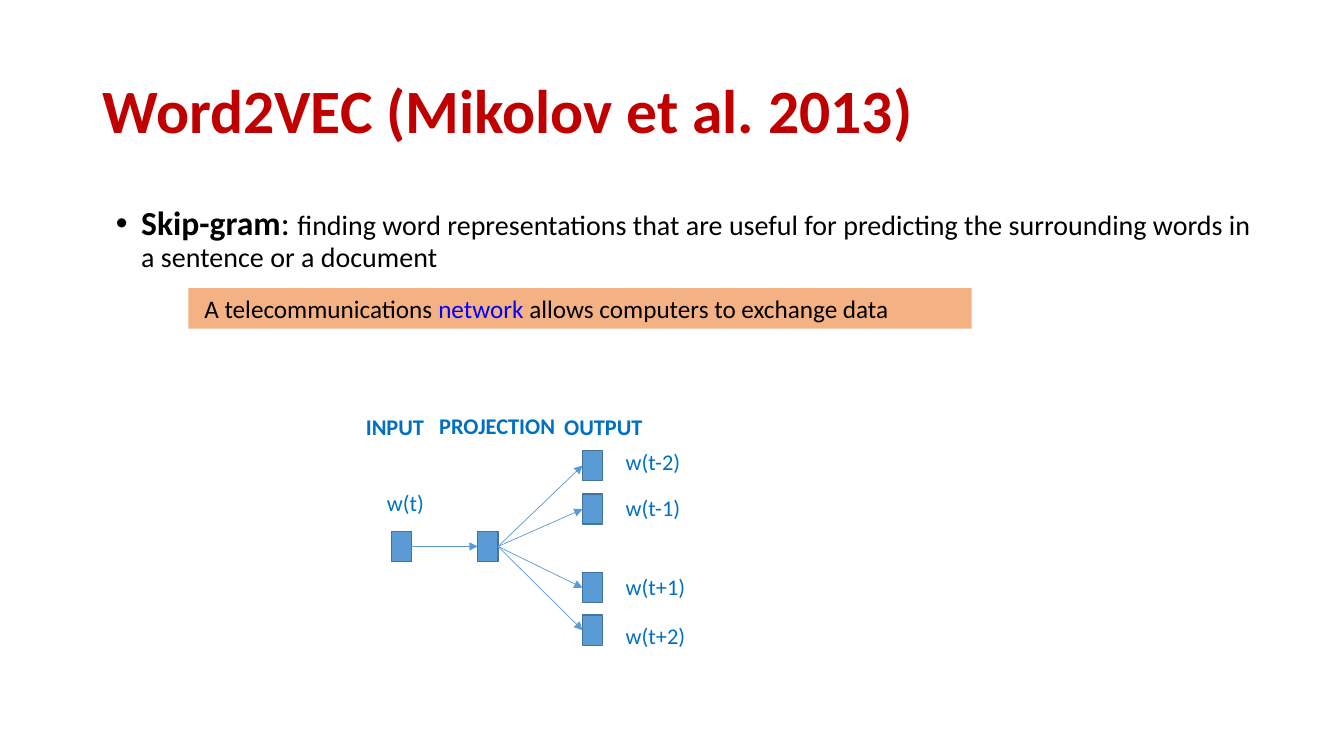
from dataclasses import dataclass

import pptx
import pptx.dml.color
import pptx.enum.shapes
import pptx.enum.text
import pptx.oxml
import pptx.oxml.ns
import pptx.shapes.autoshape
import pptx.shapes.connector
import pptx.util
from pptx.util import Cm

FONT = "Calibri"
BLACK, CRIMSON, LABEL_BLUE, LINK_BLUE = "000000", "C00000", "0070C0", "0000FF"
NODE_FILL, NODE_LINE, BANNER_FILL = "5B9BD5", "43739E", "F4B183"
NODE_WIDTH, NODE_HEIGHT = 0.51, 0.76
LABEL_HEIGHT = 0.94
HIDDEN_Y = 13.77  # centre of the input and projection nodes
OUTPUT_X, OUTPUT_LABEL_X = 14.68, 15.52


@dataclass
class Run:
    text: str
    size: float
    color: str = BLACK
    bold: bool = False


@dataclass
class Label:
    text: str
    left: float
    top: float
    width: float
    bold: bool = False


@dataclass
class Output:
    word: str
    center: float
    label_top: float
    label_width: float


HEADINGS = [
    Label("INPUT", 8.97, 10.29, 2.01, True),
    Label("PROJECTION", 10.82, 10.26, 3.45, True),
    Label("OUTPUT", 13.97, 10.29, 2.51, True),
]
OUTPUTS = [
    Output("w(t-2)", 11.73, 11.18, 1.93),
    Output("w(t-1)", 12.83, 12.32, 1.93),
    Output("w(t+1)", 14.81, 14.33, 2.03),
    Output("w(t+2)", 15.88, 15.54, 2.03),
]


def rgb(value: str) -> pptx.dml.color.RGBColor:
    return pptx.dml.color.RGBColor.from_string(value)


def write(paragraph, runs: list[Run]) -> None:
    for item in runs:
        run = paragraph.add_run()
        run.text = item.text
        run.font.name = FONT
        run.font.size = pptx.util.Pt(item.size)
        run.font.bold = item.bold
        run.font.color.rgb = rgb(item.color)


def add_text(shapes, left: float, top: float, width: float, height: float,
             runs: list[Run], wrap: bool = True) -> pptx.shapes.autoshape.Shape:
    box = shapes.add_textbox(Cm(left), Cm(top), Cm(width), Cm(height))
    box.text_frame.word_wrap = wrap
    write(box.text_frame.paragraphs[0], runs)
    return box


def add_label(shapes, label: Label) -> None:
    add_text(shapes, label.left, label.top, label.width, LABEL_HEIGHT,
             [Run(label.text, 16, LABEL_BLUE, label.bold)], wrap=False)


def add_rectangle(shapes, left: float, top: float, width: float, height: float,
                  fill: str) -> pptx.shapes.autoshape.Shape:
    box = shapes.add_shape(pptx.enum.shapes.MSO_SHAPE.RECTANGLE,
                           Cm(left), Cm(top), Cm(width), Cm(height))
    box.shadow.inherit = False
    box.fill.solid()
    box.fill.fore_color.rgb = rgb(fill)
    return box


def add_node(shapes, left: float, center: float) -> pptx.shapes.autoshape.Shape:
    node = add_rectangle(shapes, left, center - NODE_HEIGHT / 2,
                         NODE_WIDTH, NODE_HEIGHT, NODE_FILL)
    node.line.color.rgb = rgb(NODE_LINE)
    node.line.width = pptx.util.Pt(1)
    return node


def add_arrow(shapes, source: pptx.shapes.autoshape.Shape,
              target: pptx.shapes.autoshape.Shape) -> None:
    arrow: pptx.shapes.connector.Connector = shapes.add_connector(
        pptx.enum.shapes.MSO_CONNECTOR.STRAIGHT,
        source.left + source.width, source.top + source.height // 2,
        target.left, target.top + target.height // 2)
    arrow.begin_connect(source, 3)
    arrow.end_connect(target, 1)
    arrow.line.color.rgb = rgb(NODE_FILL)
    arrow.line.width = pptx.util.Pt(0.5)
    head = pptx.oxml.parse_xml(
        f'<a:tailEnd {pptx.oxml.ns.nsdecls("a")} type="triangle"/>')
    arrow.line._get_or_add_ln().append(head)
    arrow._element.spPr.append(
        pptx.oxml.parse_xml(f'<a:effectLst {pptx.oxml.ns.nsdecls("a")}/>'))


def add_diagram(slide) -> None:
    shapes = slide.shapes.add_group_shape().shapes

    # Nodes and arrows
    output_nodes = [add_node(shapes, OUTPUT_X, item.center) for item in OUTPUTS]
    input_node = add_node(shapes, 9.86, HIDDEN_Y)
    projection_node = add_node(shapes, 12.04, HIDDEN_Y)
    add_arrow(shapes, input_node, projection_node)
    for output_node in output_nodes:
        add_arrow(shapes, projection_node, output_node)

    # Headings and word labels
    words = [Label("w(t)", 9.5, 12.19, 1.47)]
    words += [Label(item.word, OUTPUT_LABEL_X, item.label_top, item.label_width)
              for item in OUTPUTS]
    for label in HEADINGS + words:
        add_label(shapes, label)


def add_definition(slide) -> None:
    definition = add_text(slide.shapes, 2.67, 5.08, 29.21, 4.32, [
        Run("Skip-gram", 24, bold=True),
        Run(": ", 24),
        Run("finding word representations that are useful for predicting "
            "the surrounding words in a sentence or a document", 20),
    ])
    paragraph = definition.text_frame.paragraphs[0]
    paragraph.line_spacing = 0.9
    properties = paragraph._p.get_or_add_pPr()
    properties.set("marL", str(Cm(0.64)))
    properties.set("indent", str(Cm(-0.64)))
    for bullet in ('buFont {} typeface="Arial"', 'buChar {} char="•"'):
        properties.append(pptx.oxml.parse_xml(
            f'<a:{bullet.format(pptx.oxml.ns.nsdecls("a"))}/>'))


def add_example(slide) -> None:
    example = add_rectangle(slide.shapes, 4.75, 7.26, 19.74, 1.02, BANNER_FILL)
    example.line.fill.background()
    frame = example.text_frame
    frame.word_wrap = True
    frame.margin_left = Cm(0.4)
    frame.vertical_anchor = pptx.enum.text.MSO_ANCHOR.TOP
    frame.paragraphs[0].alignment = pptx.enum.text.PP_ALIGN.LEFT
    write(frame.paragraphs[0], [
        Run("A telecommunications ", 18),
        Run("network", 18, LINK_BLUE),
        Run(" allows computers to exchange data", 18),
    ])


def main() -> None:
    deck = pptx.Presentation()
    deck.slide_width, deck.slide_height = Cm(33.87), Cm(19.05)
    slide = deck.slides.add_slide(deck.slide_layouts[6])

    # Title
    title = add_text(slide.shapes, 2.34, 1.02, 29.21, 3.68,
                     [Run("Word2VEC (Mikolov et al. 2013)", 44, CRIMSON, True)])
    title.text_frame.vertical_anchor = pptx.enum.text.MSO_ANCHOR.MIDDLE
    title.text_frame.paragraphs[0].line_spacing = 0.9

    # Skip-gram network, its definition and an example sentence
    add_diagram(slide)
    add_definition(slide)
    add_example(slide)

    deck.save("out.pptx")


if __name__ == "__main__":
    main()
